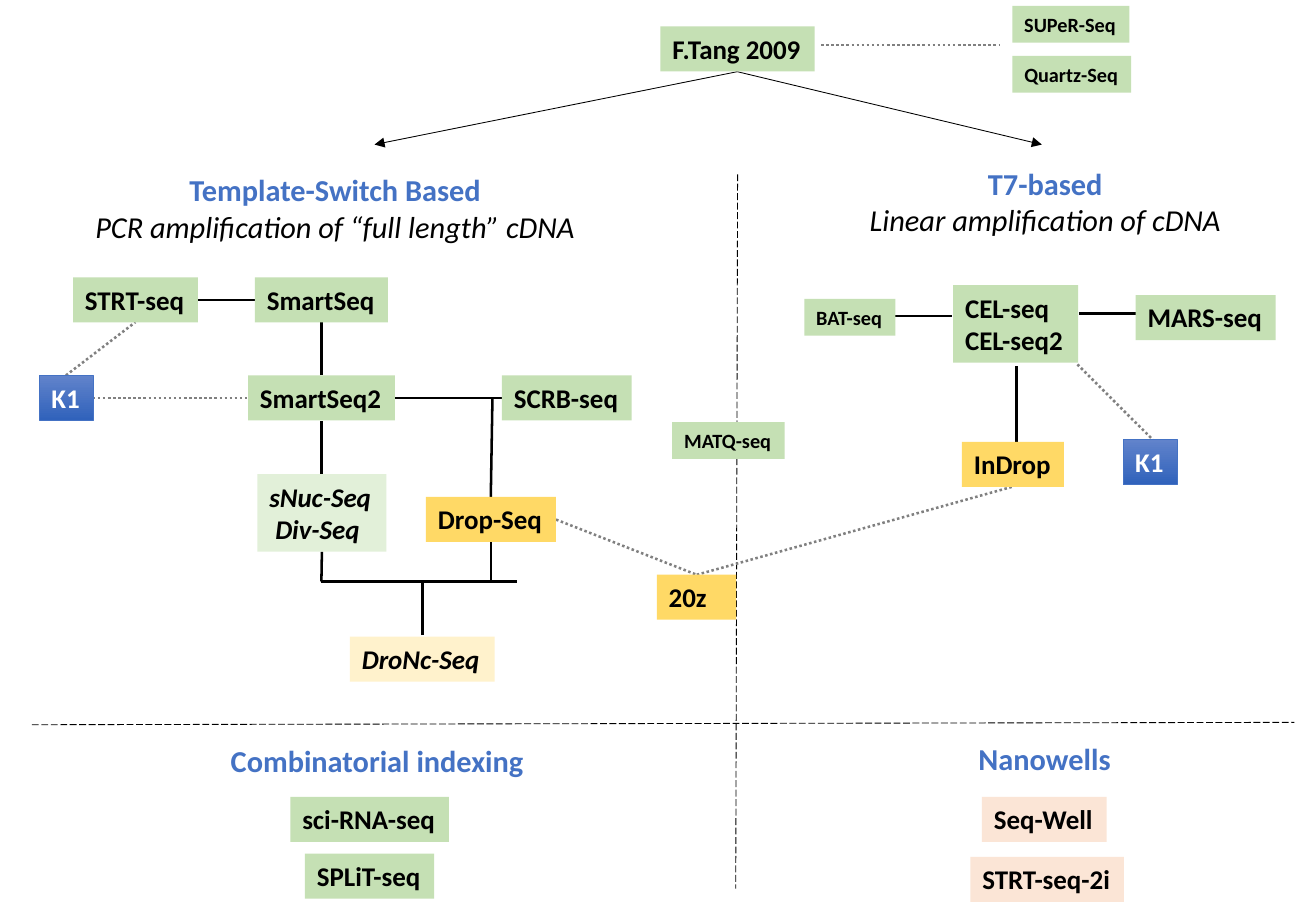
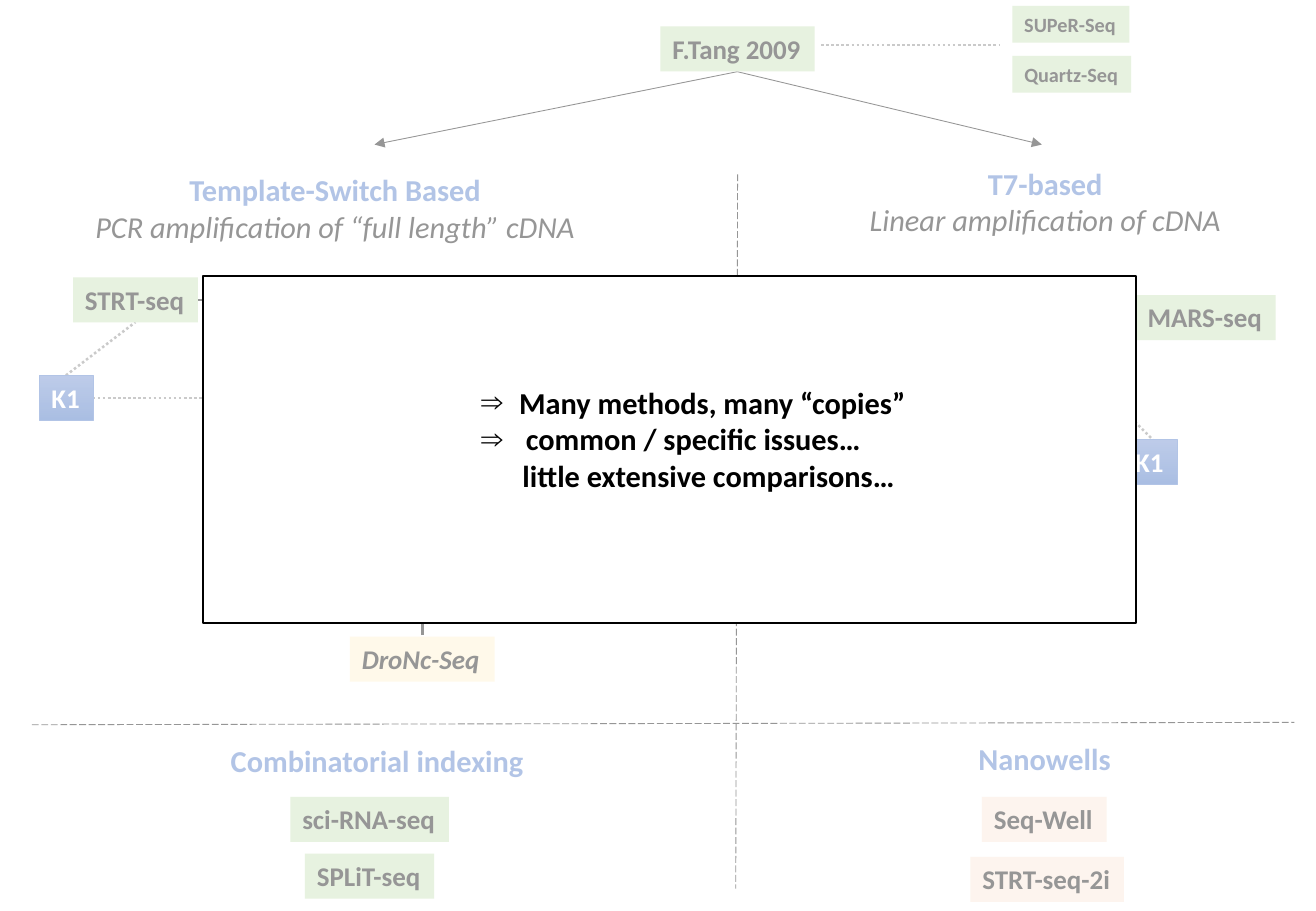
import pptx
import pptx.dml.color
import pptx.enum.dml
import pptx.enum.shapes
import pptx.enum.text
import pptx.oxml.ns
import pptx.util
from lxml import etree

Pt = pptx.util.Pt
RGBColor = pptx.dml.color.RGBColor
Dash = pptx.enum.dml.MSO_LINE_DASH_STYLE
Align = pptx.enum.text.PP_ALIGN
qn = pptx.oxml.ns.qn

FONT = "Calibri"
SLIDE_WIDTH, SLIDE_HEIGHT = 780, 540

BLACK = RGBColor(0x00, 0x00, 0x00)
WHITE = RGBColor(0xFF, 0xFF, 0xFF)
GRAY = RGBColor(0x80, 0x80, 0x80)
BLUE = RGBColor(0x44, 0x72, 0xC4)
BLUE_TOP = RGBColor(0x61, 0x83, 0xCB)
BLUE_BOTTOM = RGBColor(0x30, 0x62, 0xBB)
GREEN = RGBColor(0xC5, 0xE0, 0xB4)
PALE_GREEN = RGBColor(0xE2, 0xF0, 0xD9)
GOLD = RGBColor(0xFF, 0xD9, 0x66)
PALE_GOLD = RGBColor(0xFF, 0xF2, 0xCC)
PEACH = RGBColor(0xFB, 0xE5, 0xD6)

# Box height for each text size
HEIGHTS = {12: 21.8, 16: 26.7, 18: 29}

SOLID = {"width": 1.5}
DOTTED = {"width": 1.5, "color": GRAY, "dash": Dash.ROUND_DOT}
DIVIDER = {"width": 0.5, "dash": Dash.LONG_DASH}
ARROW = {"width": 0.5, "arrow": True}

# Links: x1, y1, x2, y2, style
SHARED_LINKS = [
    (39.1, 222.5, 80.2, 191, DOTTED),
    (55, 236, 147, 236, DOTTED),
    (638.6, 216, 683.3, 260.7, DOTTED),
    (486.7, 26.7, 592, 26.7, DOTTED),
    (117.4, 177.8, 151.1, 177.8, SOLID),
    (250.4, 376.5, 250.4, 344.7, SOLID),
    (437, 42.5, 222, 85.7, ARROW),
    (437, 42.5, 617.5, 85.7, ARROW),
    (18.9, 429.6, 767.2, 428.2, DIVIDER),
    (437.2, 103.3, 436.1, 526.8, DIVIDER),
]
DETAIL_LINKS = [
    (329.6, 308, 413, 340.7, DOTTED),
    (413, 340.7, 600.2, 288.5, DOTTED),
    (602.6, 262, 602.6, 216.7, SOLID),
    (290.9, 294.6, 291.9, 236, SOLID),
    (190.5, 344.7, 190.8, 327, SOLID),
    (290.9, 344.7, 290.9, 321, SOLID),
    (190.5, 344.7, 306.5, 344.7, SOLID),
    (190.7, 222.5, 190.7, 191, SOLID),
    (190.7, 281, 190.7, 249.5, SOLID),
    (233.5, 236, 297.5, 236, SOLID),
    (530.7, 187.4, 564.5, 187.4, SOLID),
    (639.5, 185.8, 673.1, 185.8, SOLID),
]

# Methods: text, left, top, width, fill, format
SHARED_METHODS = [
    ("F.Tang 2009", 391.5, 15.6, 91.4, GREEN, {}),
    ("SUPeR-Seq", 600, 3.5, 69.4, GREEN, {"size": 12}),
    ("Quartz-Seq", 600, 33.2, 70.5, GREEN, {"size": 12}),
    ("STRT-seq", 43.3, 164.4, 74.1, GREEN, {}),
    ("MARS-seq", 673.1, 174.9, 83, GREEN, {}),
    ("DroNc-Seq", 207.4, 377.4, 85.9, PALE_GOLD, {"italic": True}),
    ("sci-RNA-seq", 172.1, 472.4, 94, GREEN, {}),
    ("SPLiT-seq", 180.8, 506, 76.6, GREEN, {}),
    ("Seq-Well", 582, 472.4, 73.9, PEACH, {}),
    ("STRT-seq-2i", 575.2, 508, 91, PEACH, {}),
]
DETAIL_METHODS = [
    ("SmartSeq", 151.1, 164.4, 78.8, GREEN, {}),
    ("SmartSeq2", 147, 222.6, 87.1, GREEN, {}),
    ("SCRB-seq", 297.5, 222.6, 77, GREEN, {}),
    ("Drop-Seq", 252.5, 294.6, 77, GOLD, {}),
    ("InDrop", 570.2, 262, 60.5, GOLD, {}),
    ("BAT-seq", 476.7, 177.2, 54, GREEN, {"size": 12}),
    ("MATQ-seq", 398.4, 250.2, 66.7, GREEN, {"size": 12}),
]

# Branches: title, subtitle, left, top, width
BRANCHES = [
    ("Template-Switch Based", "PCR amplification of “full length” cDNA", 47.5, 98.2, 302.4),
    ("T7-based", "Linear amplification of cDNA", 506.9, 94.3, 225.4),
    ("Combinatorial indexing", None, 128.9, 436.6, 189.4),
    ("Nanowells", None, 572.4, 434.9, 93.6),
]
CHIPS = [(23.4, 222.5), (665.7, 260.7)]


def write(frame, text, *, size=16, color=BLACK, bold=True, italic=False,
          align=Align.LEFT, indent=0, bullet=None):
    """Add one formatted paragraph, using the empty first one if there is one."""
    paragraph = frame.add_paragraph() if frame.text else frame.paragraphs[0]
    paragraph.alignment = align
    paragraph.space_before = Pt(0)
    properties = paragraph._p.get_or_add_pPr()
    properties.set("marL", str(Pt(indent)))
    properties.set("indent", str(Pt(-indent if bullet else 0)))
    if bullet:
        etree.SubElement(properties, qn("a:buChar"), char=bullet)
    else:
        etree.SubElement(properties, qn("a:buNone"))
    run = paragraph.add_run()
    run.text = text
    run.font.name = FONT
    run.font.size = Pt(size)
    run.font.color.rgb = color
    run.font.bold = bold
    run.font.italic = italic


def add_box(slide, left, top, width, height, fill=WHITE, wrap=False):
    """Add a plain rectangle without a line, with its text at the top left."""
    box = slide.shapes.add_shape(pptx.enum.shapes.MSO_SHAPE.RECTANGLE,
                                 Pt(left), Pt(top), Pt(width), Pt(height))
    box.shadow.inherit = False
    box.fill.solid()
    box.fill.fore_color.rgb = fill
    box.line.fill.background()
    box.text_frame.word_wrap = wrap
    box.text_frame.vertical_anchor = pptx.enum.text.MSO_ANCHOR.TOP
    return box


def add_method(slide, name, left, top, width, fill, text_format, wrap=False):
    height = HEIGHTS[text_format.get("size", 16)]
    box = add_box(slide, left, top, width, height, fill, wrap)
    write(box.text_frame, name, **text_format)


def add_method_pair(slide, names, left, top, width, fill, indents=(0, 0), italic=False):
    pair = add_box(slide, left, top, width, 46, fill)
    for name, indent in zip(names, indents):
        write(pair.text_frame, name, italic=italic, indent=indent)


def add_chip(slide, left, top):
    chip = add_box(slide, left, top, 32, HEIGHTS[16])
    chip.fill.gradient()
    chip.fill.gradient_angle = 270
    for stop, color in zip(chip.fill.gradient_stops, (BLUE_TOP, BLUE_BOTTOM)):
        stop.color.rgb = color
    chip.line.color.rgb = BLUE
    chip.line.width = Pt(0.5)
    write(chip.text_frame, "K1", color=WHITE)


def add_branch(slide, title, subtitle, left, top, width):
    height = 51 if subtitle else HEIGHTS[18]
    heading = slide.shapes.add_textbox(Pt(left), Pt(top), Pt(width), Pt(height)).text_frame
    heading.word_wrap = False
    write(heading, title, size=18, color=BLUE, align=Align.CENTER)
    if subtitle:
        write(heading, subtitle, size=18, bold=False, italic=True, align=Align.CENTER)


def add_link(slide, x1, y1, x2, y2, *, width, color=BLACK, dash=None, arrow=False):
    link = slide.shapes.add_connector(pptx.enum.shapes.MSO_CONNECTOR.STRAIGHT,
                                      Pt(x1), Pt(y1), Pt(x2), Pt(y2))
    link.line.color.rgb = color
    link.line.width = Pt(width)
    if dash:
        link.line.dash_style = dash
    properties = link.element.spPr
    if arrow:
        etree.SubElement(properties.find(qn("a:ln")), qn("a:tailEnd"), type="triangle")
    etree.SubElement(properties, qn("a:effectLst"))


def draw_map(slide, links, methods):
    for x1, y1, x2, y2, style in links:
        add_link(slide, x1, y1, x2, y2, **style)
    for chip in CHIPS:
        add_chip(slide, *chip)
    for branch in BRANCHES:
        add_branch(slide, *branch)
    for method in methods:
        add_method(slide, *method)


def build_overview(deck):
    slide = deck.slides.add_slide(deck.slide_layouts[6])
    draw_map(slide, SHARED_LINKS + DETAIL_LINKS, SHARED_METHODS + DETAIL_METHODS)
    add_method(slide, "20z", 389.3, 340.7, 47, GOLD, {}, wrap=True)
    add_method_pair(slide, ("sNuc-Seq", "Div-Seq"), 152.5, 281, 76.5, PALE_GREEN,
                    indents=(0, 3.6), italic=True)
    add_method_pair(slide, ("CEL-seq", "CEL-seq2"), 565, 169, 74.1, GREEN)


def build_conclusion(deck):
    slide = deck.slides.add_slide(deck.slide_layouts[1])
    title = slide.shapes.title.element
    title.getparent().remove(title)
    conclusions = slide.placeholders[1]
    draw_map(slide, SHARED_LINKS, SHARED_METHODS)

    veil = add_box(slide, 0, 0, SLIDE_WIDTH, SLIDE_HEIGHT)
    veil_color = veil.element.spPr.find(".//" + qn("a:srgbClr"))
    etree.SubElement(veil_color, qn("a:alpha"), val="59000")

    panel = add_box(slide, 120.3, 163.5, 553, 206)
    panel.line.color.rgb = BLACK
    panel.line.width = Pt(1)

    # The list lies in front of the panel
    conclusions.element.getparent().append(conclusions.element)
    conclusions.left, conclusions.top = Pt(278), Pt(224)
    conclusions.width, conclusions.height = Pt(268), Pt(72.7)
    frame = conclusions.text_frame
    frame.auto_size = pptx.enum.text.MSO_AUTO_SIZE.NONE
    frame.word_wrap = False
    write(frame, "Many methods, many “copies”", size=18, indent=22.5, bullet="⇒")
    write(frame, "common / specific issues…", size=18, indent=26.5, bullet="⇒")
    write(frame, "little extensive comparisons…", size=18, indent=24.5)


def main():
    deck = pptx.Presentation()
    deck.slide_width, deck.slide_height = Pt(SLIDE_WIDTH), Pt(SLIDE_HEIGHT)
    build_overview(deck)
    build_conclusion(deck)
    deck.save("out.pptx")


if __name__ == "__main__":
    main()
